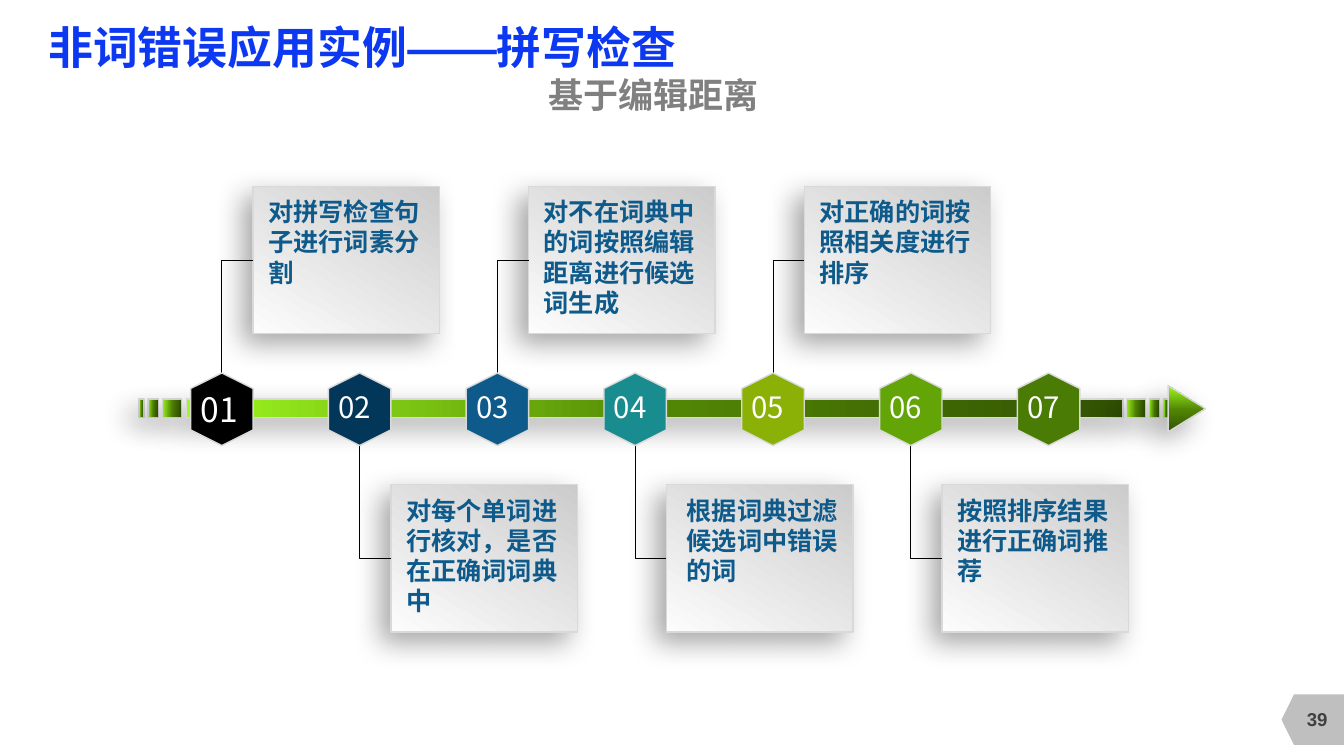
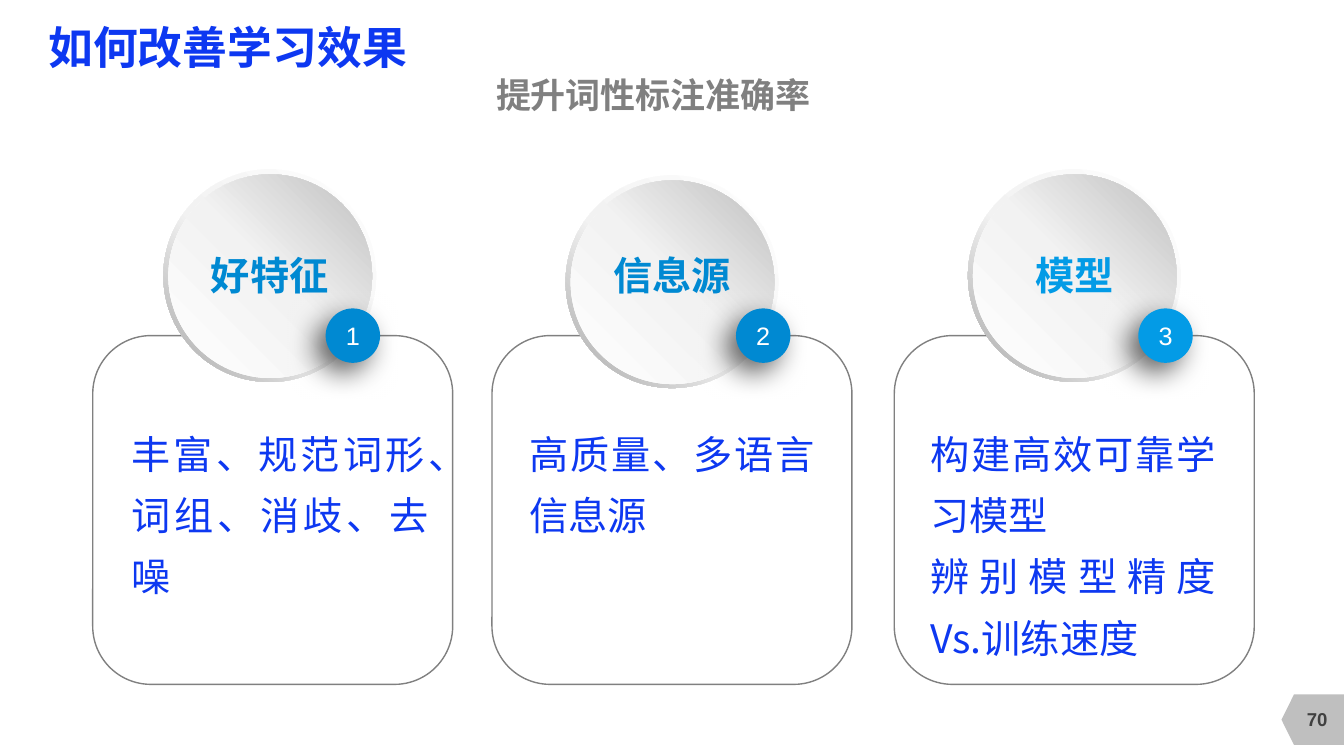
from lxml import etree
from pptx import Presentation
from pptx.dml.color import RGBColor
from pptx.enum.shapes import MSO_CONNECTOR, MSO_SHAPE
from pptx.enum.text import MSO_ANCHOR, PP_ALIGN
from pptx.oxml.ns import qn
from pptx.util import Inches, Pt

RECT, ROUND_RECT = MSO_SHAPE.RECTANGLE, MSO_SHAPE.ROUNDED_RECTANGLE
OVAL, DONUT, HEXAGON = MSO_SHAPE.OVAL, MSO_SHAPE.DONUT, MSO_SHAPE.HEXAGON
TRIANGLE = MSO_SHAPE.ISOSCELES_TRIANGLE
PAGE_TAG = MSO_SHAPE.FLOWCHART_OFFPAGE_CONNECTOR
ELBOW = MSO_CONNECTOR.ELBOW
TOP, MIDDLE = MSO_ANCHOR.TOP, MSO_ANCHOR.MIDDLE
LEFT, CENTER, JUSTIFY = PP_ALIGN.LEFT, PP_ALIGN.CENTER, PP_ALIGN.JUSTIFY

BLUE, GRAY, WHITE, EDGE = "0D38F1", "808080", "FFFFFF", "D9D9D9"
LATIN, CJK = "Arial", "Noto Sans CJK SC"

# Gradients: stops as (percent, colour), then the clockwise angle
GREEN_FADE = ([(0, "325203"), (48, "518604"), (100, "9FF820")], 180)
CARD_FADE = ([(0, "CCCCCC"), (100, "FCFCFC")], 120)
RIM_FADE = ([(0, WHITE), (55, "F2F2F2"), (100, "A6A6A6")], 135)
DISC_FADE = ([(0, WHITE), (51, "F2F2F2"), (100, "BFBFBF")], 315)
# Shadows: opacity percent, direction in degrees
SOFT, STRONG = (34, 136), (60, 135)

TITLE = {"size": 32, "bold": True, "color": BLUE, "name": LATIN}
SUBTITLE = {"size": 25, "bold": True, "color": GRAY, "name": LATIN}
PAGE_NUMBER = {"size": 13.3, "bold": True, "color": "404040", "name": LATIN}
STEP_LABEL = {"size": 21, "color": WHITE, "name": CJK}
CARD_TEXT = {"size": 18, "bold": True, "color": "0E5A8B", "name": CJK}
BADGE = {"size": 18, "color": WHITE, "name": LATIN}
HEADING = {"size": 28, "bold": True, "name": CJK}
BODY = {"size": 28, "color": BLUE, "name": CJK}

# Hexagon colour, card text
STEPS = [
    ("000000", "对拼写检查句子进行词素分割"),
    ("023759", "对每个单词进行核对，是否在正确词词典中"),
    ("0E5A8B", "对不在词典中的词按照编辑距离进行候选词生成"),
    ("198C8F", "根据词典过滤候选词中错误的词"),
    ("8BB106", "对正确的词按照相关度进行排序"),
    ("63A406", "按照排序结果进行正确词推荐"),
    ("4A7B04", None),
]
FIRST_CENTER, STEP_GAP, AXIS = 2.2, 8.2 / 6, 4.06
# Timeline segments: left, width
SEGMENTS = [(1.38, 0.05), (1.47, 0.1), (1.61, 0.19), (1.85, 9.29),
            (11.17, 0.19), (11.4, 0.1), (11.54, 0.05)]

COLUMNS = [
    {"heading": "好特征", "color": "0089D2", "panel": 0.92, "disc": (1.62, 1.68),
     "badge": 3.23, "text": (1.3, 2.95), "body": ["丰富、规范词形、词组、消歧、去噪"]},
    {"heading": "信息源", "color": "0089D2", "panel": 4.88, "disc": (5.61, 1.74),
     "badge": 7.3, "text": (5.25, 2.83), "body": ["高质量、多语言信息源"]},
    {"heading": "模型", "color": "039BE6", "panel": 8.87, "disc": (9.6, 1.68),
     "badge": 11.29, "text": (9.23, 2.83),
     "body": ["构建高效可靠学习模型", "辨别模型精度Vs.训练速度"]},
]


def rgb(color):
    return RGBColor.from_string(color)


def add_node(parent, tag, **attributes):
    return etree.SubElement(parent, qn(tag), {k: str(v) for k, v in attributes.items()})


def add_color(parent, color, opacity=100):
    node = add_node(parent, "a:srgbClr", val=color)
    if opacity < 100:
        add_node(node, "a:alpha", val=opacity * 1000)


def write(shape, lines, style, align=LEFT, anchor=TOP, insets=(0, 0, 0, 0), spacing=None):
    """Fill a shape with paragraphs; insets are left, top, right, bottom in inches."""
    frame = shape.text_frame
    frame.word_wrap, frame.vertical_anchor = True, anchor
    for side, inset in zip(("left", "top", "right", "bottom"), insets):
        setattr(frame, f"margin_{side}", Inches(inset))
    for index, line in enumerate(lines):
        para = frame.add_paragraph() if index else frame.paragraphs[0]
        para.alignment = align
        if spacing:
            para.line_spacing = spacing
        span = para.add_run()
        span.text = line
        values = dict(style, size=Pt(style["size"]))
        span.font.color.rgb = rgb(values.pop("color"))
        for name, value in values.items():
            setattr(span.font, name, value)
        add_node(span.font._element, "a:ea", typeface=style["name"])


def add_text(page, area, lines, style, **layout):
    box = page.shapes.add_textbox(*map(Inches, area))
    write(box, lines, style, **layout)


def add_shape(page, kind, area, fill=None, line=None, shadow=None, rotation=0):
    """Draw a preset shape; fill is a colour, a gradient or None."""
    shape = page.shapes.add_shape(kind, *map(Inches, area))
    shape.rotation = rotation
    if fill is None:
        shape.fill.background()
    elif isinstance(fill, str):
        shape.fill.solid()
        shape.fill.fore_color.rgb = rgb(fill)
    else:
        stops, angle = fill
        shape.fill.gradient()
        shape.fill.gradient_angle = 360 - angle
        stop_list = shape._element.spPr.find(".//" + qn("a:gsLst"))
        for stop in list(stop_list):
            stop_list.remove(stop)
        for percent, color in stops:
            add_color(add_node(stop_list, "a:gs", pos=percent * 1000), color)
    if line:
        shape.line.color.rgb = rgb(line)
        shape.line.width = Pt(1)
    else:
        shape.line.fill.background()
    shape.shadow.inherit = False
    if shadow:
        opacity, direction = shadow
        effects = shape._element.spPr.find(qn("a:effectLst"))
        outer = add_node(effects, "a:outerShdw", blurRad=Pt(20), dist=Pt(10),
                         dir=direction * 60000, algn="ctr", rotWithShape=0)
        add_color(outer, "000000", opacity)
    return shape


def add_elbow(page, x, y, end_x, end_y):
    """Draw a one-bend connector that runs vertically first, then to the right."""
    rising = end_y < y
    length, depth = abs(end_y - y), end_x - x
    left, top = (x + end_x - length) / 2, (y + end_y - depth) / 2
    elbow = page.shapes.add_connector(
        ELBOW, *map(Inches, (left, top, left + length, top + depth)))
    elbow.line.color.rgb = rgb("000000")
    elbow.line.width = Pt(0.75)
    properties = elbow._element.spPr
    properties.find(qn("a:prstGeom")).set("prst", "bentConnector2")
    frame = properties.find(qn("a:xfrm"))
    frame.set("rot", str((90 if rising else 270) * 60000))
    frame.set("flipH", "1")
    if rising:
        frame.set("flipV", "1")
    add_node(properties, "a:effectLst")


def add_page(deck, title, subtitle, number):
    page = deck.slides.add_slide(deck.slide_layouts[6])
    add_shape(page, PAGE_TAG, (12.77, 6.83, 0.5, 0.62), "BFBFBF", rotation=90)
    add_text(page, (12.73, 6.93, 0.67, 0.4), [number], PAGE_NUMBER,
             align=CENTER, anchor=MIDDLE)
    add_text(page, (0.48, 0.2, 6.54, 0.52), [title], TITLE, anchor=MIDDLE)
    add_text(page, (3.48, 0.71, 6, 0.45), [subtitle], SUBTITLE,
             align=CENTER, anchor=MIDDLE)
    return page


def add_timeline(page):
    green = {"fill": GREEN_FADE, "line": EDGE, "shadow": SOFT}
    for left, width in SEGMENTS:
        add_shape(page, RECT, (left, 3.96, width, 0.18), **green)
    add_shape(page, TRIANGLE, (11.54, 3.87, 0.46, 0.37), rotation=90, **green)
    for index, (color, text) in enumerate(STEPS):
        center = FIRST_CENTER + index * STEP_GAP
        if text:
            above = index % 2 == 0
            card_left, card_top = center + 0.31, 1.85 if above else 4.81
            card = add_shape(page, RECT, (card_left, card_top, 1.85, 1.46),
                             CARD_FADE, EDGE, SOFT)
            inset = 0.2 if index == 3 else 0.15
            write(card, [text], CARD_TEXT, insets=(inset, 0.1, 0.1, 0.07))
            add_elbow(page, center, 3.7 if above else 4.41,
                      card_left, card_top + 0.73)
        add_shape(page, HEXAGON, (center - 0.36, AXIS - 0.31, 0.72, 0.62),
                  color, EDGE, rotation=90)
        style = STEP_LABEL if index else dict(STEP_LABEL, size=24)
        add_text(page, (center - 0.31, 3.81, 0.62, 0.45), [f"{index + 1:02}"],
                 style, insets=(0.1, 0.05, 0.1, 0.05))


def add_column(page, number, column):
    add_shape(page, ROUND_RECT, (column["panel"], 3.33, 3.57, 3.46), line=GRAY)
    left, top = column["disc"]
    rim = add_shape(page, DONUT, (left, top, 2.11, 2.11), RIM_FADE)
    rim.adjustments[0] = 0.049
    add_shape(page, OVAL, (left + 0.05, top + 0.05, 2.02, 2.02), DISC_FADE)
    badge = add_shape(page, OVAL, (column["badge"], 3.06, 0.54, 0.54),
                      column["color"], shadow=STRONG)
    write(badge, [str(number)], BADGE, align=CENTER, anchor=MIDDLE)
    add_text(page, (left, 2.42, 2.11, 0.61), [column["heading"]],
             dict(HEADING, color=column["color"]), align=CENTER,
             insets=(0.13, 0.07, 0.13, 0.07))
    text_left, text_width = column["text"]
    add_text(page, (text_left, 4.13, text_width, 2.39), column["body"], BODY,
             align=JUSTIFY, spacing=1.3)


def main():
    deck = Presentation()
    deck.slide_width, deck.slide_height = Inches(13.33), Inches(7.5)
    add_timeline(add_page(deck, "非词错误应用实例——拼写检查", "基于编辑距离", "39"))
    page = add_page(deck, "如何改善学习效果", "提升词性标注准确率", "70")
    for number, column in enumerate(COLUMNS, 1):
        add_column(page, number, column)
    deck.save("out.pptx")


if __name__ == "__main__":
    main()
